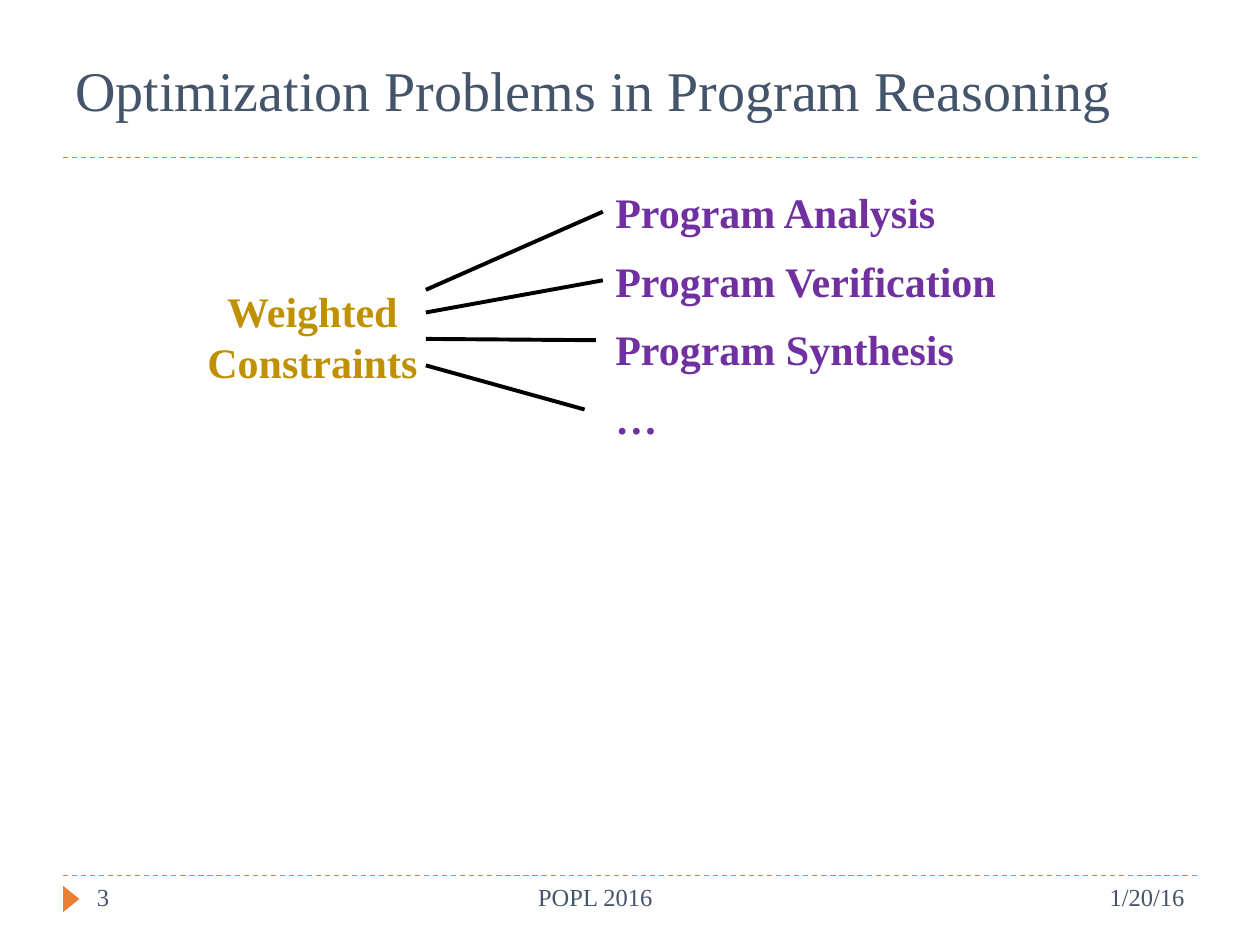
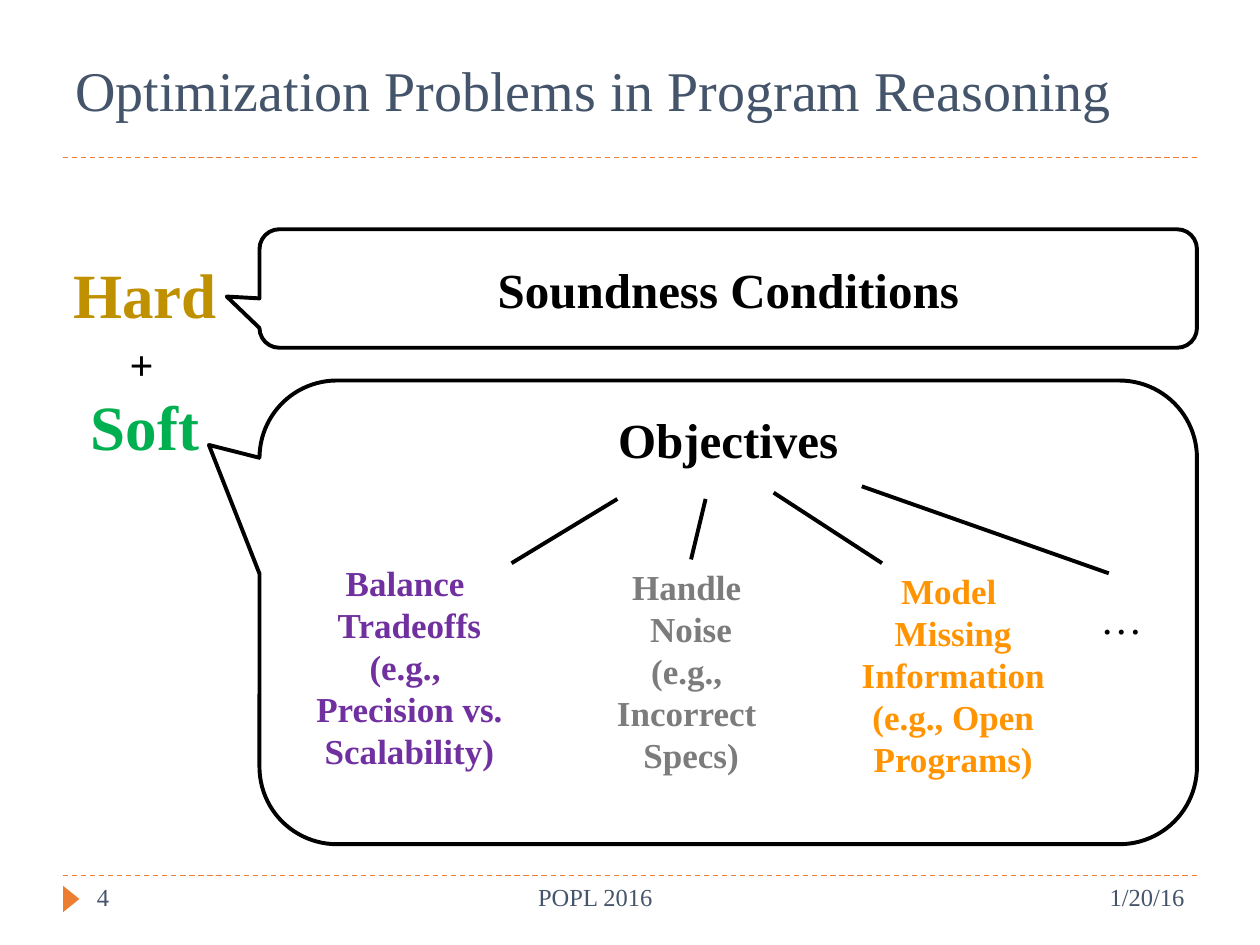
"""Build two slides on optimization problems in program reasoning."""
from dataclasses import dataclass

from lxml.etree import SubElement
from pptx import Presentation
from pptx.dml.color import RGBColor
from pptx.enum.dml import MSO_LINE
from pptx.enum.shapes import MSO_CONNECTOR, MSO_SHAPE
from pptx.enum.text import MSO_ANCHOR, PP_ALIGN
from pptx.oxml.ns import qn
from pptx.util import Inches, Pt


@dataclass(frozen=True)
class Theme:
    face: str = "Times New Roman"
    slate: str = "44546A"
    orange: str = "ED7D31"
    black: str = "000000"
    gold: str = "BF9000"
    green: str = "00B050"
    purple: str = "7030A0"
    gray: str = "7C7C7C"
    amber: str = "FF9300"
    foot: int = 14
    note: int = 20
    body: int = 24
    lead: int = 28
    title: int = 32
    big: int = 36
    thin: float = 0.75
    thick: float = 2.25


theme = Theme()
deck = Presentation()
deck.slide_width, deck.slide_height = Inches(10), Inches(7.5)
COL, ROW = deck.slide_width / 20, deck.slide_height / 15
LEFT, MID, RIGHT = PP_ALIGN.LEFT, PP_ALIGN.CENTER, PP_ALIGN.RIGHT


def place(page, at, lines=(), size=theme.body, ink=theme.black, bold=True,
          align=MID, anchor=MSO_ANCHOR.TOP, kind=None):
    """Put a text box, or a shape of the given kind, on the grid."""
    spot = [int(n * unit) for n, unit in zip(at, (COL, ROW, COL, ROW))]
    if kind is None:
        box = page.shapes.add_textbox(*spot)
    else:
        box = page.shapes.add_shape(kind, *spot)
        box.shadow.inherit = False
    frame = box.text_frame
    for name, value in {"word_wrap": True, "vertical_anchor": anchor}.items():
        setattr(frame, name, value)
    for i, line in enumerate(lines):
        para = frame.add_paragraph() if i else frame.paragraphs[0]
        para.alignment = align
        run = para.add_run()
        run.text = line
        look = {"name": theme.face, "size": Pt(size), "bold": bold}
        for name, value in look.items():
            setattr(run.font, name, value)
        run.font.color.rgb = RGBColor.from_string(ink)
    return box


def draw(page, start, end, ink=theme.black, width=theme.thick, dash=None):
    """Draw a straight line between two grid points."""
    (x, y), (u, v) = start, end
    line = page.shapes.add_connector(
        MSO_CONNECTOR.STRAIGHT, int(x * COL), int(y * ROW), int(u * COL), int(v * ROW))
    SubElement(line._element.spPr, qn("a:effectLst"))
    for name, value in {"width": Pt(width), "dash_style": dash}.items():
        setattr(line.line, name, value)
    line.line.color.rgb = RGBColor.from_string(ink)
    return line


pages = []
for number in (3, 4):
    page = deck.slides.add_slide(deck.slide_layouts[6])
    pages.append(page)
    for y in (13.9, 2.5):
        draw(page, (1, y), (19, y), theme.orange, theme.thin, MSO_LINE.DASH)
    mark = place(page, (0.92, 14.14, 0.42, 0.26), kind=MSO_SHAPE.ISOSCELES_TRIANGLE)
    mark.rotation = 90
    mark.fill.solid()
    mark.fill.fore_color.rgb = RGBColor.from_string(theme.orange)
    mark.line.fill.background()
    for x, width, text, align in (
            (14, 5, "1/20/16", RIGHT),
            (1.34, 1.78, str(number), LEFT),
            (3.12, 12.66, "POPL 2016", MID)):
        place(page, (x, 13.9, width, 0.8), [text], theme.foot, theme.slate, False, align)
    place(page, (1, 0.34, 18, 2.16), ["Optimization Problems in Program Reasoning"],
          theme.title, theme.slate, False, LEFT, MSO_ANCHOR.MIDDLE)

fields, goals = pages

tasks = (
    ("Program Analysis", 4.6, None),
    ("Program Verification", 4.96, None),
    ("Program Synthesis", 5.38, (9.46, 5.4)),
    ("…", 5.8, (9.28, 6.5)),
)
for i, (text, y, end) in enumerate(tasks):
    box = place(fields, (9.57, 2.86 + 1.09 * i, 6.66, 1), [text],
                ink=theme.purple, align=LEFT)
    line = draw(fields, (6.76, y), end or (9.57, y))
    if end is None:
        line.end_connect(box, 1)
place(fields, (3, 4.44, 3.92, 1.82), ["Weighted", "Constraints"], ink=theme.gold)

for y, text, ink in ((3.96, "Hard", theme.gold), (6.06, "Soft", theme.green)):
    place(goals, (0.6, y, 3.4, 1.42), [text], theme.big, ink)
place(goals, (1.86, 5.28, 0.88, 1), ["+"], align=LEFT)

for y, height, text, anchor, tip in (
        (3.64, 1.88, "Soundness Conditions", MSO_ANCHOR.MIDDLE, (-0.535, 0.068)),
        (6.04, 7.36, "Objectives", MSO_ANCHOR.TOP, (-0.554, -0.361))):
    bubble = place(goals, (4.12, y, 14.88, height), [text], theme.lead,
                   anchor=anchor, kind=MSO_SHAPE.ROUNDED_RECTANGULAR_CALLOUT)
    bubble.fill.background()
    bubble.line.color.rgb = RGBColor.from_string(theme.black)
    bubble.line.width = Pt(theme.thick)
    for i, value in enumerate((*tip, 0.167)):
        bubble.adjustments[i] = value

aims = (
    ((9.8, 7.92), (8.12, 8.94), (3.94, 8.82, 5.12, 3.56), theme.purple,
     ["Balance ", "Tradeoffs", "(e.g., ", "Precision vs. Scalability)"]),
    ((11.2, 7.92), None, (8.62, 8.88, 4.7, 3.56), theme.gray,
     ["Handle ", "Noise", "(e.g., ", "Incorrect ", "Specs)"]),
    ((12.28, 7.82), (14, 8.94), (12.58, 8.94, 5.1, 3.56), theme.amber,
     ["Model ", "Missing Information", "(e.g., Open Programs)"]),
)
for start, end, at, ink, lines in aims:
    box = place(goals, at, lines, theme.note, ink)
    line = draw(goals, start, end or at[:2])
    if end is None:
        line.end_connect(box, 0)
draw(goals, (13.68, 7.72), (17.6, 9.1))
place(goals, (16.74, 9.3, 2.12, 1), ["…"], bold=False)

deck.save("out.pptx")
